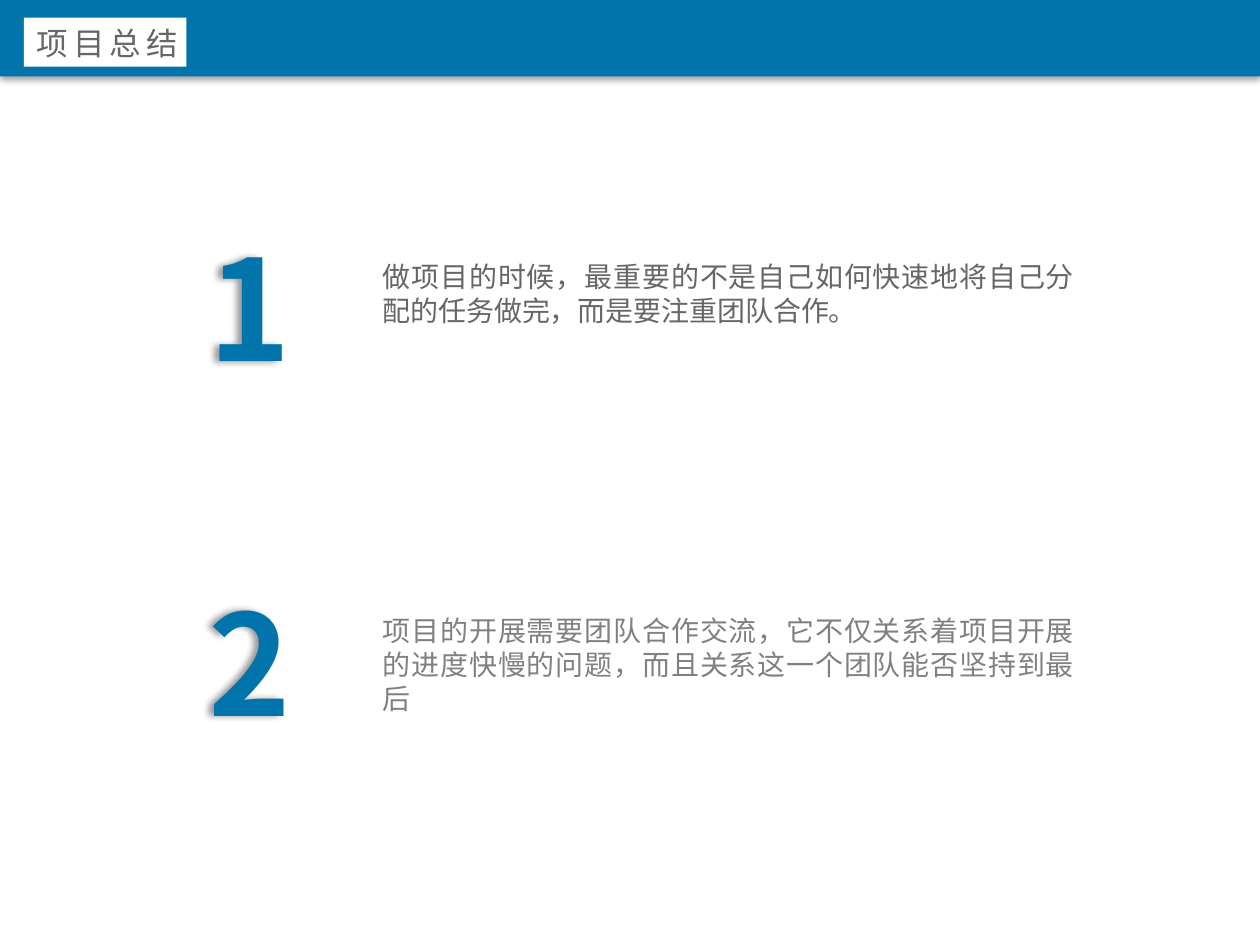
from lxml.etree import SubElement
from pptx import Presentation
from pptx.dml.color import RGBColor
from pptx.enum.shapes import MSO_SHAPE as Shape
from pptx.enum.text import MSO_AUTO_SIZE as AutoSize, PP_ALIGN as Align
from pptx.oxml.ns import qn
from pptx.util import Inches, Pt

WIDTH, HEIGHT = 10, 7.5
FONT = "Noto Sans CJK SC"
COLORS = {"blue": "0174AB", "white": "FFFFFF", "dark": "666666",
          "gray": "808080", "shadow": "000000"}
FORMATS = {
    "title": {"size": Pt(18), "name": FONT},
    "number": {"size": Pt(80), "name": FONT, "bold": True},
    "body": {"size": Pt(16), "name": FONT},
}
LESSONS = [
    ("1", "做项目的时候，最重要的不是自己如何快速地将自己分配的任务做完，而是要注重团队合作。", "dark", 0.64),
    ("2", "项目的开展需要团队合作交流，它不仅关系着项目开展的进度快慢的问题，而且关系这一个团队能否坚持到最后", "gray", 0.91),
]


def rgb(color):
    return RGBColor.from_string(COLORS[color])


def add_shadow(shape, blur, distance, angle):
    shape.shadow.inherit = False
    effects = shape.element.spPr.find(qn("a:effectLst"))
    outer = SubElement(effects, qn("a:outerShdw"), blurRad=str(Pt(blur)),
                       dist=str(Pt(distance)), dir=str(angle * 60000),
                       algn="t", rotWithShape="0")
    tint = SubElement(outer, qn("a:srgbClr"), val=COLORS["shadow"])
    SubElement(tint, qn("a:alpha"), val="40000")


def add_panel(slide, box, color):
    panel = slide.shapes.add_shape(Shape.RECTANGLE, *map(Inches, box))
    panel.shadow.inherit = False
    panel.fill.solid()
    panel.fill.fore_color.rgb = rgb(color)
    panel.line.fill.background()
    return panel


def add_label(slide, box, words, style, color, align):
    label = slide.shapes.add_textbox(*map(Inches, box))
    frame = label.text_frame
    frame.word_wrap = True
    frame.auto_size = AutoSize.SHAPE_TO_FIT_TEXT
    paragraph = frame.paragraphs[0]
    paragraph.alignment = align
    run = paragraph.add_run()
    run.text = words
    for attribute, value in FORMATS[style].items():
        setattr(run.font, attribute, value)
    run.font.color.rgb = rgb(color)
    SubElement(run.font._element, qn("a:ea"), typeface=FONT)
    return label


def add_header(slide, box):
    left, top, width, height = box
    band = add_panel(slide, box, "blue")
    add_shadow(band, 4, 1, 90)
    tag_left, tag_top = left + 0.019 * width, top + 0.23 * height
    add_panel(slide, (tag_left, tag_top, 0.129 * width, 0.64 * height), "white")
    title = add_label(slide, (tag_left, tag_top, 0.14 * width, 0.66 * height),
                      "项目总结", "title", "dark", Align.LEFT)
    title.text_frame.paragraphs[0].runs[0].font._element.set("spc", "300")


def add_lesson(slide, box, number, words, color, words_height):
    left, top, width, height = box
    numeral = add_label(slide, (left, top, 0.168 * width, height),
                        number, "number", "blue", Align.CENTER)
    add_shadow(numeral, 4, 3, 180)
    words_left = left + 0.216 * width
    add_label(slide, (words_left, top + 0.207 * height, 0.784 * width, words_height),
              words, "body", color, Align.JUSTIFY)


def main():
    deck = Presentation()
    deck.slide_width, deck.slide_height = Inches(WIDTH), Inches(HEIGHT)
    slide = deck.slides.add_slide(deck.slide_layouts[6])
    row_pitch = 0.375 * HEIGHT
    for row, lesson in enumerate(LESSONS):
        row_top = 0.228 * HEIGHT + row * row_pitch
        add_lesson(slide, (0.137 * WIDTH, row_top, 0.726 * WIDTH, 1.45), *lesson)
    add_header(slide, (0, 0, WIDTH, 0.081 * HEIGHT))
    deck.save("out.pptx")


if __name__ == "__main__":
    main()
